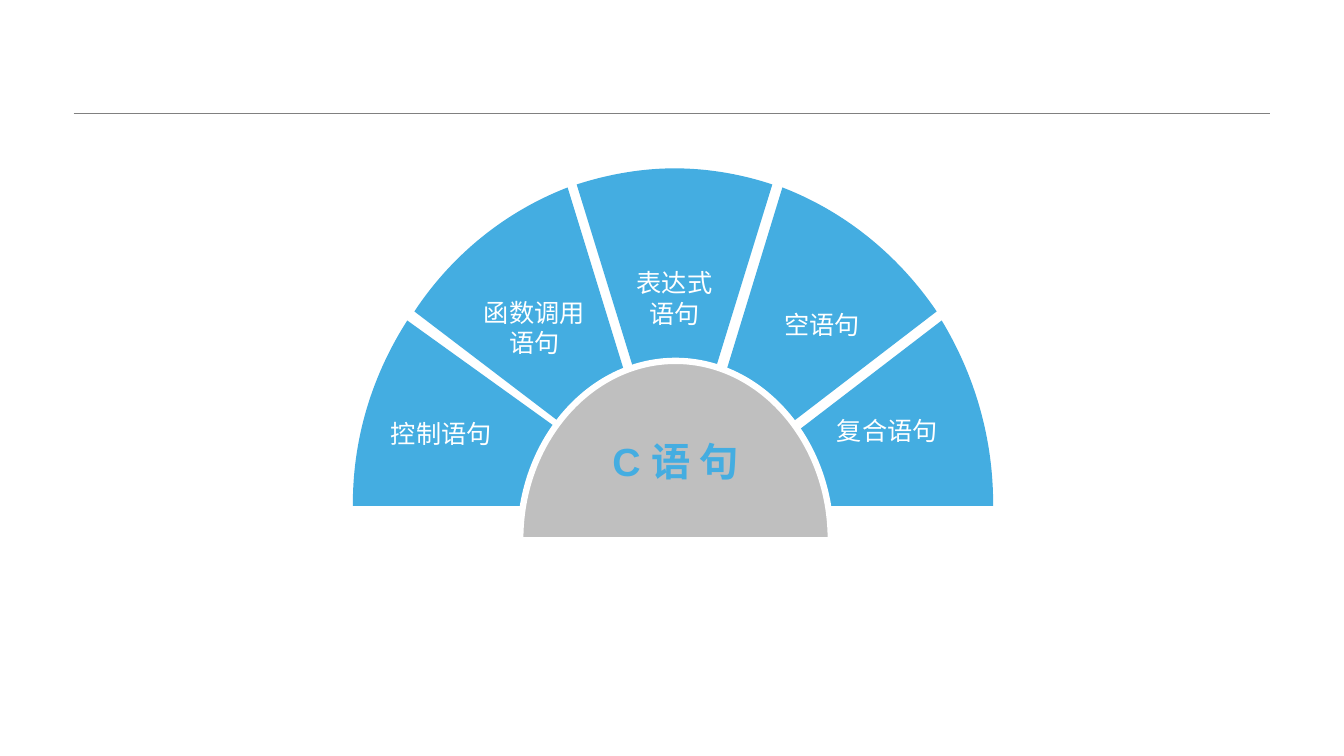
from dataclasses import dataclass

import pptx
import pptx.dml.color
import pptx.enum.shapes
import pptx.enum.text
import pptx.oxml.ns
import pptx.shapes.autoshape
import pptx.shapes.shapetree
import pptx.slide
import pptx.text.text
import pptx.util
from lxml import etree
from pptx.util import Inches

BLUE = pptx.dml.color.RGBColor(0x44, 0xAD, 0xE1)
GREY = pptx.dml.color.RGBColor(0xBF, 0xBF, 0xBF)
RULE_GREY = pptx.dml.color.RGBColor(0x80, 0x80, 0x80)
WHITE = pptx.dml.color.RGBColor(0xFF, 0xFF, 0xFF)
FONT = "Arial"

Point = tuple[float, float]
Curve = tuple[Point, Point, Point]


@dataclass(frozen=True)
class Sector:
    """A closed outline: a start, Bézier curves, then straight corners; with its label."""
    start: Point
    curves: tuple[Curve, ...]
    corners: tuple[Point, ...]
    lines: tuple[str, ...] = ()
    insets: tuple[float, float, float, float] = (0.1, 0.05, 0.1, 0.05)
    fill: pptx.dml.color.RGBColor = BLUE
    text_color: pptx.dml.color.RGBColor = WHITE
    size: int = 18
    bold: bool = False
    outline: float = 0


SECTORS = (
    Sector((7.66, 1.83),
           (((7.36, 1.73), (7.03, 1.67), (6.69, 1.67)),
            ((6.36, 1.67), (6.03, 1.73), (5.72, 1.83))),
           ((6.69, 4.98),), ("表达式", "语句"), (0.1, 0.05, 0.1, 0.79)),
    Sector((9.29, 3.09), (((8.91, 2.53), (8.38, 2.1), (7.76, 1.86)),),
           ((6.8, 5),), ("空语句",), (0.31, 0.05, 0.1, 0.47)),
    Sector((5.63, 1.86), (((5.01, 2.1), (4.48, 2.53), (4.11, 3.09)),),
           ((6.59, 4.98),), ("函数调用", "语句"), (0.1, 0.05, 0.2, 0.39)),
    Sector((9.85, 5), (((9.85, 4.33), (9.66, 3.71), (9.34, 3.18)),),
           ((6.94, 5.02), (9.85, 5.02)), ("复合语句",), (0.91, 0.39, 0.1, 0.05)),
    Sector((3.5, 5), (((3.5, 4.33), (3.7, 3.71), (4.04, 3.18)),),
           ((6.6, 5.02), (3.5, 5.02))),
    Sector((8.24, 5.35),
           (((8.24, 4.38), (7.55, 3.58), (6.7, 3.58)),
            ((5.85, 3.58), (5.16, 4.38), (5.16, 5.35))),
           ((5.16, 5.36), (8.24, 5.36)), ("C 语 句",), (0, 0.2, 0, 0),
           GREY, BLUE, 28, True, 4.5),
)


def add_run(paragraph: pptx.text.text._Paragraph, text: str, size: int,
            color: pptx.dml.color.RGBColor, bold: bool = False) -> None:
    run = paragraph.add_run()
    run.text = text
    run.font.name = FONT
    run.font.size = pptx.util.Pt(size)
    run.font.bold = bold
    run.font.color.rgb = color


def add_label(shape: pptx.shapes.autoshape.Shape, sector: Sector) -> None:
    frame = shape.text_frame
    frame.word_wrap = True
    frame.vertical_anchor = pptx.enum.text.MSO_ANCHOR.MIDDLE
    (frame.margin_left, frame.margin_top,
     frame.margin_right, frame.margin_bottom) = map(Inches, sector.insets)
    for index, line in enumerate(sector.lines):
        paragraph = frame.add_paragraph() if index else frame.paragraphs[0]
        paragraph.alignment = pptx.enum.text.PP_ALIGN.CENTER
        add_run(paragraph, line, sector.size, sector.text_color, sector.bold)


def bend_segments(shape: pptx.shapes.autoshape.Shape, curve_count: int) -> None:
    """Turn each leading group of three line segments into one Bézier curve."""
    segments = list(shape._element.iter(pptx.oxml.ns.qn("a:lnTo")))
    for first in range(0, 3 * curve_count, 3):
        curve = etree.Element(pptx.oxml.ns.qn("a:cubicBezTo"))
        segments[first].addprevious(curve)
        for segment in segments[first:first + 3]:
            curve.append(segment[0])
            segment.getparent().remove(segment)


def add_sector(shapes: pptx.shapes.shapetree.GroupShapes, sector: Sector) -> None:
    points = [point for curve in sector.curves for point in curve]
    points.extend(sector.corners)
    builder = shapes.build_freeform(*map(Inches, sector.start))
    builder.add_line_segments([(Inches(x), Inches(y)) for x, y in points], close=True)
    shape = builder.convert_to_shape()
    bend_segments(shape, len(sector.curves))
    shape.shadow.inherit = False
    shape.fill.solid()
    shape.fill.fore_color.rgb = sector.fill
    if sector.outline:
        shape.line.color.rgb = WHITE
        shape.line.width = pptx.util.Pt(sector.outline)
    else:
        shape.line.fill.background()
    if sector.lines:
        add_label(shape, sector)


def add_header_rule(slide: pptx.slide.Slide) -> None:
    rule = slide.shapes.add_connector(
        pptx.enum.shapes.MSO_CONNECTOR.STRAIGHT,
        Inches(0.73), Inches(1.12), Inches(12.6), Inches(1.12))
    rule.line.color.rgb = RULE_GREY
    rule.line.width = pptx.util.Pt(0.25)
    etree.SubElement(rule._element.spPr, pptx.oxml.ns.qn("a:effectLst"))


def add_control_label(shapes: pptx.shapes.shapetree.GroupShapes) -> None:
    box = shapes.add_textbox(Inches(3.78), Inches(4.1), Inches(1.6), Inches(0.56))
    frame = box.text_frame
    frame.word_wrap = True
    frame.auto_size = pptx.enum.text.MSO_AUTO_SIZE.SHAPE_TO_FIT_TEXT
    add_run(frame.paragraphs[0], "控制语句", 18, WHITE)


def main() -> None:
    presentation = pptx.Presentation()
    presentation.slide_width = Inches(13.33)
    presentation.slide_height = Inches(7.5)
    slide = presentation.slides.add_slide(presentation.slide_layouts[6])
    add_header_rule(slide)
    fan = slide.shapes.add_group_shape()
    for sector in SECTORS:
        add_sector(fan.shapes, sector)
    add_control_label(fan.shapes)
    presentation.save("out.pptx")


if __name__ == "__main__":
    main()
